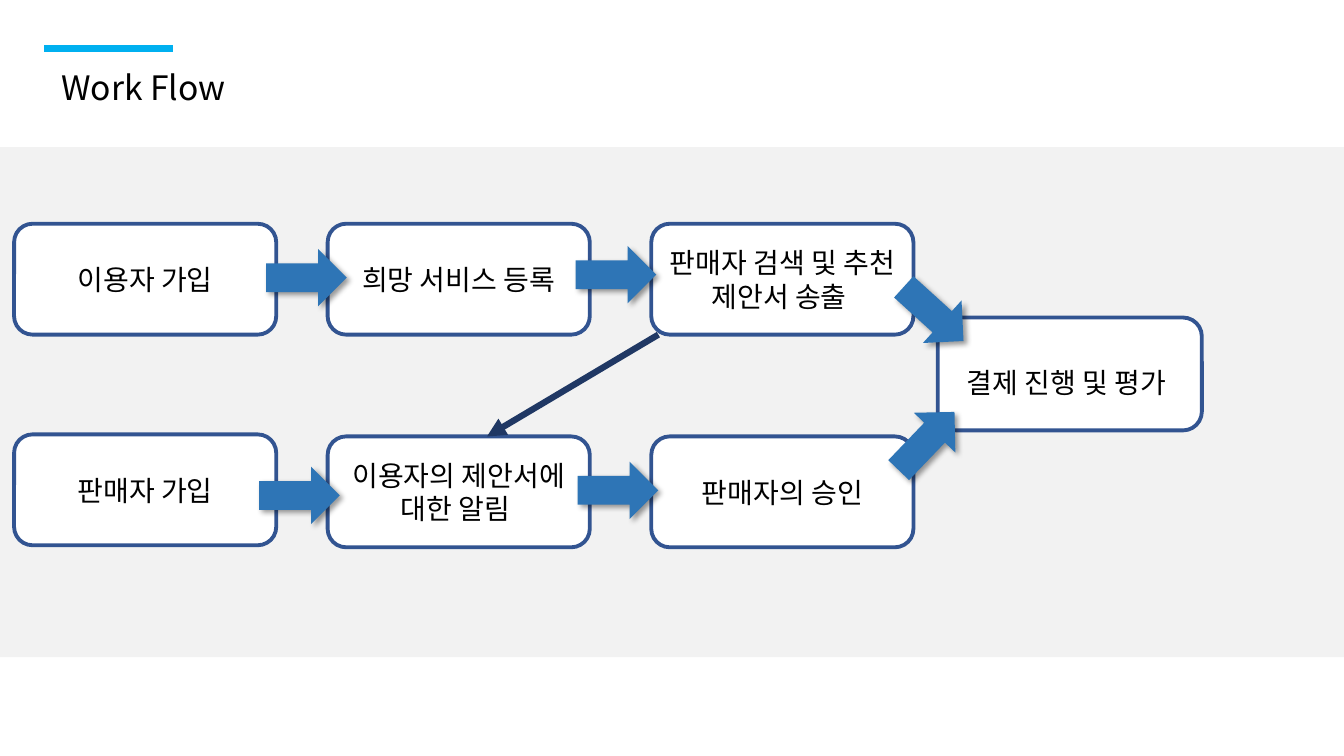
from lxml import etree
from pptx import Presentation
from pptx.dml.color import RGBColor
from pptx.enum.shapes import MSO_CONNECTOR, MSO_SHAPE
from pptx.enum.text import MSO_ANCHOR, MSO_AUTO_SIZE, PP_ALIGN
from pptx.oxml.ns import qn
from pptx.util import Emu, Pt

RECTANGLE = MSO_SHAPE.RECTANGLE
ROUNDED = MSO_SHAPE.ROUNDED_RECTANGLE
RIGHT_ARROW = MSO_SHAPE.RIGHT_ARROW
STRAIGHT = MSO_CONNECTOR.STRAIGHT
MIDDLE = MSO_ANCHOR.MIDDLE
CENTER = PP_ALIGN.CENTER
GROW = MSO_AUTO_SIZE.SHAPE_TO_FIT_TEXT

EMU_PER_PX = 9144
FONT = "Noto Sans CJK KR"
COLUMNS = (14, 325, 646)
STEP_WIDTH, STEP_HEIGHT = 260, 110
ARROW_WIDTH, ARROW_HEIGHT = 80, 57

USER_STEPS = ("이용자 가입", "희망 서비스 등록", "판매자 검색 및 추천 \n제안서 송출 ")
SELLER_STEPS = ("판매자 가입", "이용자의 제안서에 대한 알림 ", "판매자의 승인")
SELLER_TOPS = (431, 433, 433)
ARROWS = (
    (264, 247, 0),
    (571, 244, 0),
    (573, 458, 0),
    (257, 463, 0),
    (886, 283, 42.2),
    (879, 409, 313.8),
)


def px(value):
    return Emu(value * EMU_PER_PX)


def color(hex_string):
    return RGBColor.from_string(hex_string)


def add_child(parent, tag, **attributes):
    return etree.SubElement(parent, qn(tag), attributes)


def format_text(text_frame, size):
    for paragraph in text_frame.paragraphs:
        for run in paragraph.runs:
            run.font.size = Pt(size)
            run.font.color.rgb = color("000000")
            run.font.name = FONT
            add_child(run.font._element, "a:ea", typeface=FONT)


def add_filled_shape(slide, kind, left, top, width, height, fill):
    shape = slide.shapes.add_shape(kind, px(left), px(top), px(width), px(height))
    shape.fill.solid()
    shape.fill.fore_color.rgb = color(fill)
    shape.line.fill.background()
    shape.shadow.inherit = False
    return shape


def add_title(slide, text):
    title = slide.shapes.add_textbox(px(51), px(61), px(451), px(50))
    title.text_frame.word_wrap = True
    title.text_frame.auto_size = GROW
    title.text_frame.text = text
    format_text(title.text_frame, 24)


def add_step(slide, text, left, top, width=STEP_WIDTH, height=STEP_HEIGHT, spacing=None):
    step = add_filled_shape(slide, ROUNDED, left, top, width, height, "FFFFFF")
    step.line.color.rgb = color("325491")
    step.line.width = Pt(2.75)
    text_frame = step.text_frame
    text_frame.word_wrap = True
    text_frame.vertical_anchor = MIDDLE
    text_frame.text = text
    for paragraph in text_frame.paragraphs:
        paragraph.alignment = CENTER
        paragraph.line_spacing = spacing
    format_text(text_frame, 20)


def add_block_arrow(slide, left, top, rotation):
    arrow = add_filled_shape(slide, RIGHT_ARROW, left, top, ARROW_WIDTH, ARROW_HEIGHT, "2E75B6")
    arrow.rotation = rotation
    effects = arrow._element.spPr.find(qn("a:effectLst"))
    shadow = add_child(
        effects, "a:outerShdw", blurRad=str(Pt(4)), dist=str(Pt(3)),
        dir="2700000", algn="tl", rotWithShape="0",
    )
    shadow_color = add_child(shadow, "a:srgbClr", val="000000")
    add_child(shadow_color, "a:alpha", val="40000")


def add_line(slide, start, end, line_color, width, arrowhead=False):
    line = slide.shapes.add_connector(STRAIGHT, *map(px, start + end))
    line.line.color.rgb = color(line_color)
    line.line.width = Pt(width)
    properties = line._element.spPr
    if arrowhead:
        add_child(properties.find(qn("a:ln")), "a:tailEnd", type="triangle")
    add_child(properties, "a:effectLst")


def main():
    presentation = Presentation()
    presentation.slide_width = px(1333)
    presentation.slide_height = px(750)
    slide = presentation.slides.add_slide(presentation.slide_layouts[6])

    add_filled_shape(slide, RECTANGLE, 0, 146, 1333, 506, "F2F2F2")
    add_line(slide, (44, 48), (172, 48), "00B0F0", 5)
    add_title(slide, "Work Flow")

    for text, left in zip(USER_STEPS, COLUMNS):
        add_step(slide, text, left, 222)
    for text, left, top in zip(SELLER_STEPS, COLUMNS, SELLER_TOPS):
        add_step(slide, text, left, top)
    add_step(slide, "결제 진행 및 평가 ", 930, 315, 262, 112, 1.5)

    for left, top, rotation in ARROWS:
        add_block_arrow(slide, left, top, rotation)
    add_line(slide, (653, 332), (483, 433), "203864", 4.5, arrowhead=True)

    presentation.save("out.pptx")


if __name__ == "__main__":
    main()
